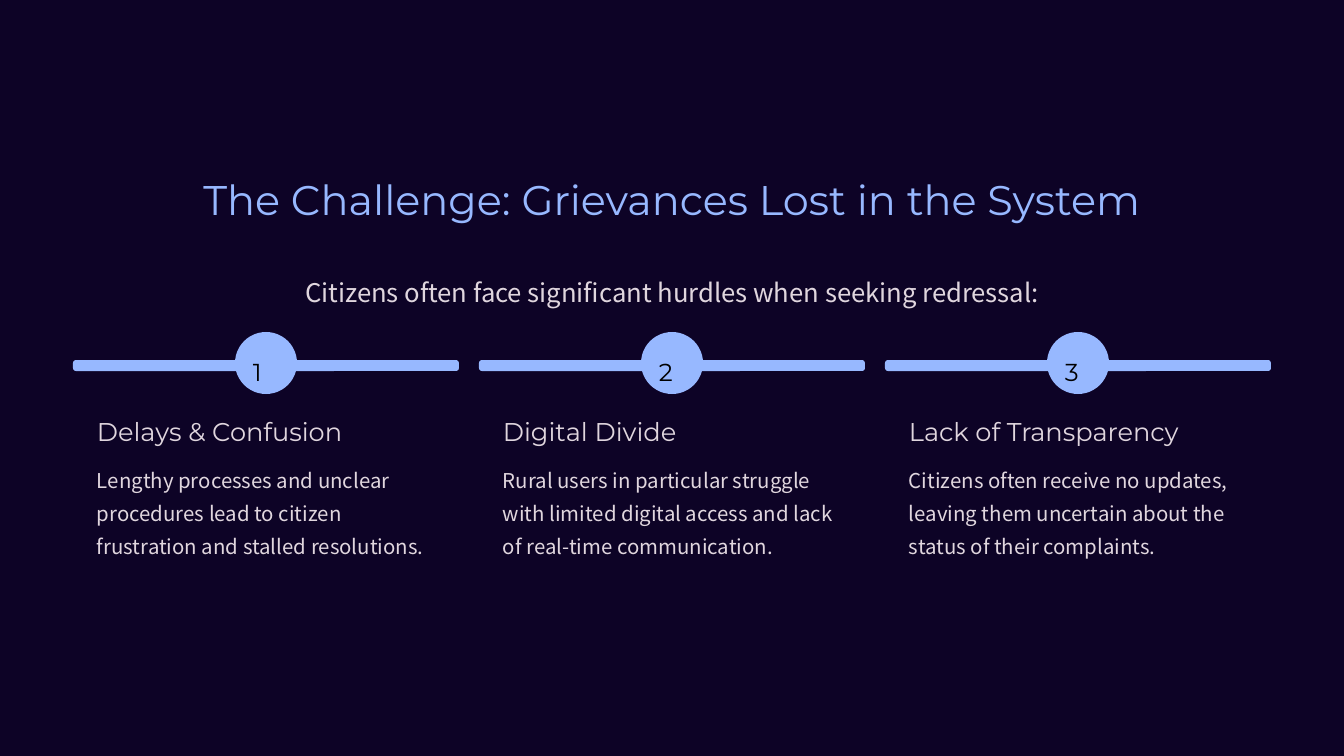
"""Builds a slide with three numbered hurdles that citizens face."""
from dataclasses import dataclass

from pptx import Presentation
from pptx.dml.color import RGBColor
from pptx.enum.shapes import MSO_SHAPE as Shape
from pptx.enum.text import MSO_ANCHOR as Anchor, MSO_AUTO_SIZE as AutoSize, PP_ALIGN as Align
from pptx.util import Emu, Pt

TITLE_ONLY = 5
LEFT, CARD_WIDTH, GAP = 73, 386, 20
MARKER, PADDING = 62, 24

HURDLES = [
    ("Delays & Confusion",
     "Lengthy processes and unclear procedures lead to citizen frustration and stalled resolutions."),
    ("Digital Divide",
     "Rural users in particular struggle with limited digital access and lack of real-time communication."),
    ("Lack of Transparency",
     "Citizens often receive no updates, leaving them uncertain about the status of their complaints."),
]


@dataclass(frozen=True)
class TextStyle:
    font: str
    size: float
    leading: float
    color: str
    align: Align = Align.LEFT
    wrap: bool = False


class Theme:
    background = "0D0326"
    accent = "97B8FF"
    light = "E0D6DE"
    dark = "000000"
    display = "Montserrat"
    text = "Noto Sans CJK TC"
    title = TextStyle(display, 35.5, 44.5, accent, Align.CENTER)
    intro = TextStyle(text, 22, 35.5, light, Align.CENTER)
    number = TextStyle(display, 21, 34, dark)
    heading = TextStyle(display, 22, 27.5, light)
    body = TextStyle(text, 17.5, 28.5, light, wrap=True)


def px(length):
    return Emu(round(length * 914400 / 84))


class SlideBuilder:
    def __init__(self, deck, theme):
        self.theme = theme
        self.slide = deck.slides.add_slide(deck.slide_layouts[TITLE_ONLY])
        self.paint(self.slide.background.fill, theme.background)

    def paint(self, fill, color):
        fill.solid()
        fill.fore_color.rgb = RGBColor.from_string(color)

    def set_text(self, box, text, style):
        frame = box.text_frame
        frame.text = text
        frame.word_wrap = style.wrap
        frame.auto_size = AutoSize.NONE
        frame.vertical_anchor = Anchor.TOP
        frame.margin_left = frame.margin_right = frame.margin_top = frame.margin_bottom = 0
        para = frame.paragraphs[0]
        para.alignment = style.align
        para.line_spacing = Pt(style.leading)
        para.space_before = Pt(0)
        font = para.runs[0].font
        font.name = style.font
        font.size = Pt(style.size)
        font.color.rgb = RGBColor.from_string(style.color)

    def title(self, text, left, top, width, height):
        box = self.slide.shapes.title
        box.left, box.top, box.width, box.height = map(px, (left, top, width, height))
        self.set_text(box, text, self.theme.title)

    def text(self, text, style, left, top, width, height):
        box = self.slide.shapes.add_textbox(*map(px, (left, top, width, height)))
        self.set_text(box, text, style)

    def shape(self, kind, left, top, width, height):
        shape = self.slide.shapes.add_shape(kind, *map(px, (left, top, width, height)))
        shape.shadow.inherit = False
        self.paint(shape.fill, self.theme.accent)
        shape.line.fill.background()
        return shape

    def hurdle(self, number, heading, body, left):
        theme = self.theme
        bar = self.shape(Shape.ROUNDED_RECTANGLE, left, 360, CARD_WIDTH, 11)
        bar.adjustments[0] = 0.28
        marker_left = left + (CARD_WIDTH - MARKER) // 2
        self.shape(Shape.OVAL, marker_left, 332, MARKER, MARKER)
        self.text(str(number), theme.number, marker_left + 18, 347, 25, 31)
        self.text(heading, theme.heading, left + PADDING, 415, 260, 33)
        self.text(body, theme.body, left + PADDING, 459, CARD_WIDTH - 2 * PADDING, 100)


def main():
    deck = Presentation()
    deck.slide_width, deck.slide_height = px(1344), px(756)
    page = SlideBuilder(deck, Theme())
    page.title("The Challenge: Grievances Lost in the System", 193, 172, 958, 52)
    page.text("Citizens often face significant hurdles when seeking redressal:",
              page.theme.intro, LEFT, 266, 1198, 42)
    for index, (heading, body) in enumerate(HURDLES):
        page.hurdle(index + 1, heading, body, LEFT + index * (CARD_WIDTH + GAP))
    deck.save("out.pptx")


if __name__ == "__main__":
    main()
